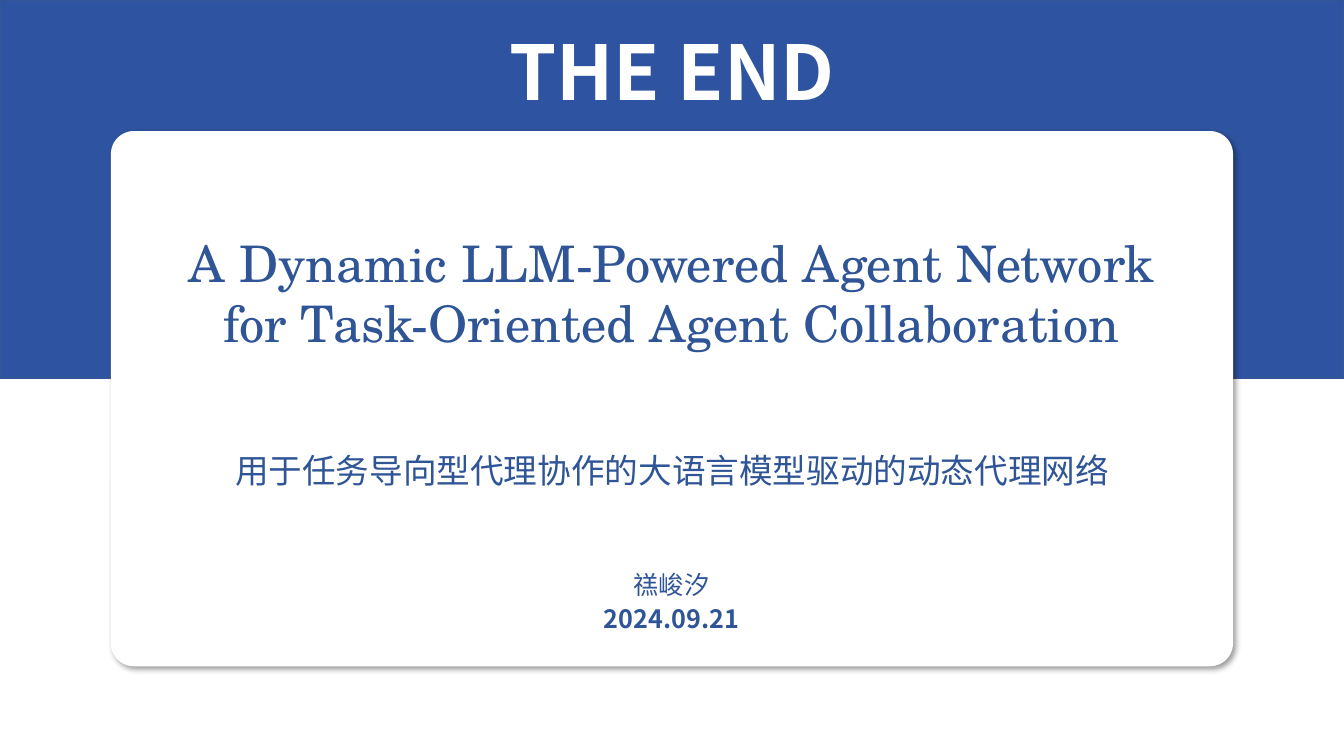
from lxml import etree
from pptx import Presentation
from pptx.dml.color import RGBColor
from pptx.enum.shapes import MSO_SHAPE
from pptx.enum.text import MSO_ANCHOR, MSO_AUTO_SIZE, PP_ALIGN
from pptx.oxml import parse_xml
from pptx.oxml.ns import qn
from pptx.util import Inches, Pt

SANS = "Noto Sans CJK SC"
SERIF = "TeX Gyre Schola"
INK = "2F5597"


def paint(color_format, hex_color):
    color_format.rgb = RGBColor.from_string(hex_color)


def write_centred(shape, lines, size, font_name, color, spacing=1.0):
    """Fill a shape with centred lines, each given as (text, bold)."""
    frame = shape.text_frame
    frame.word_wrap = True
    frame.auto_size = MSO_AUTO_SIZE.SHAPE_TO_FIT_TEXT
    frame.vertical_anchor = MSO_ANCHOR.TOP
    for index, (text, bold) in enumerate(lines):
        paragraph = frame.add_paragraph() if index else frame.paragraphs[0]
        paragraph.alignment = PP_ALIGN.CENTER
        paragraph.line_spacing = spacing
        run = paragraph.add_run()
        run.text = text
        run.font.size = Pt(size)
        run.font.bold = bold
        run.font.name = font_name
        paint(run.font.color, color)
        east_asian = etree.SubElement(run.font._element, qn("a:ea"))
        east_asian.set("typeface", font_name)


deck = Presentation()
deck.slide_width = Inches(13.33)
deck.slide_height = Inches(7.5)
slide = deck.slides.add_slide(deck.slide_layouts[5])
shapes = slide.shapes

band = shapes.add_shape(MSO_SHAPE.RECTANGLE, 0, 0, deck.slide_width, Inches(3.75))
band.shadow.inherit = False
band.fill.solid()
paint(band.fill.fore_color, "2E54A1")
paint(band.line.color, "355696")
band.line.width = Pt(1)

card = shapes.add_shape(
    MSO_SHAPE.ROUNDED_RECTANGLE, Inches(1.1), Inches(1.3), Inches(11.13), Inches(5.31)
)
card.adjustments[0] = 0.043
card.fill.solid()
paint(card.fill.fore_color, "FFFFFF")
card.line.fill.background()
card_shadow = parse_xml(
    '<a:effectLst xmlns:a="http://schemas.openxmlformats.org/drawingml/2006/main">'
    f'<a:outerShdw blurRad="{Pt(4)}" dist="{Pt(3)}" dir="{45 * 60000}" algn="tl" rotWithShape="0">'
    '<a:srgbClr val="000000"><a:alpha val="40000"/></a:srgbClr>'
    "</a:outerShdw></a:effectLst>"
)
card._element.spPr.append(card_shadow)

author_date = shapes.add_textbox(Inches(1.62), Inches(5.55), Inches(10.08), Inches(0.8))
write_centred(author_date, [("禚峻汐", False), ("2024.09.21", True)], 18, SANS, INK, 1.15)

# The title placeholder comes first in the tree; bring it in front of the band.
ending = shapes.title
shapes._spTree.append(ending._element)
ending.left, ending.top = Inches(2.72), Inches(0.2)
ending.width, ending.height = Inches(7.89), Inches(1.01)
write_centred(ending, [("THE END", True)], 54, SANS, "FFFFFF")

paper_title = shapes.add_textbox(Inches(1.38), Inches(2.25), Inches(10.56), Inches(1.31))
paper_lines = [
    ("A Dynamic LLM-Powered Agent Network", False),
    ("for Task-Oriented Agent Collaboration", False),
]
write_centred(paper_title, paper_lines, 36, SERIF, INK)

chinese_title = shapes.add_textbox(Inches(1.52), Inches(4.35), Inches(10.29), Inches(0.56))
chinese_lines = [("用于任务导向型代理协作的大语言模型驱动的动态代理网络", False)]
write_centred(chinese_title, chinese_lines, 24, SANS, INK, 1.15)

deck.save("out.pptx")
